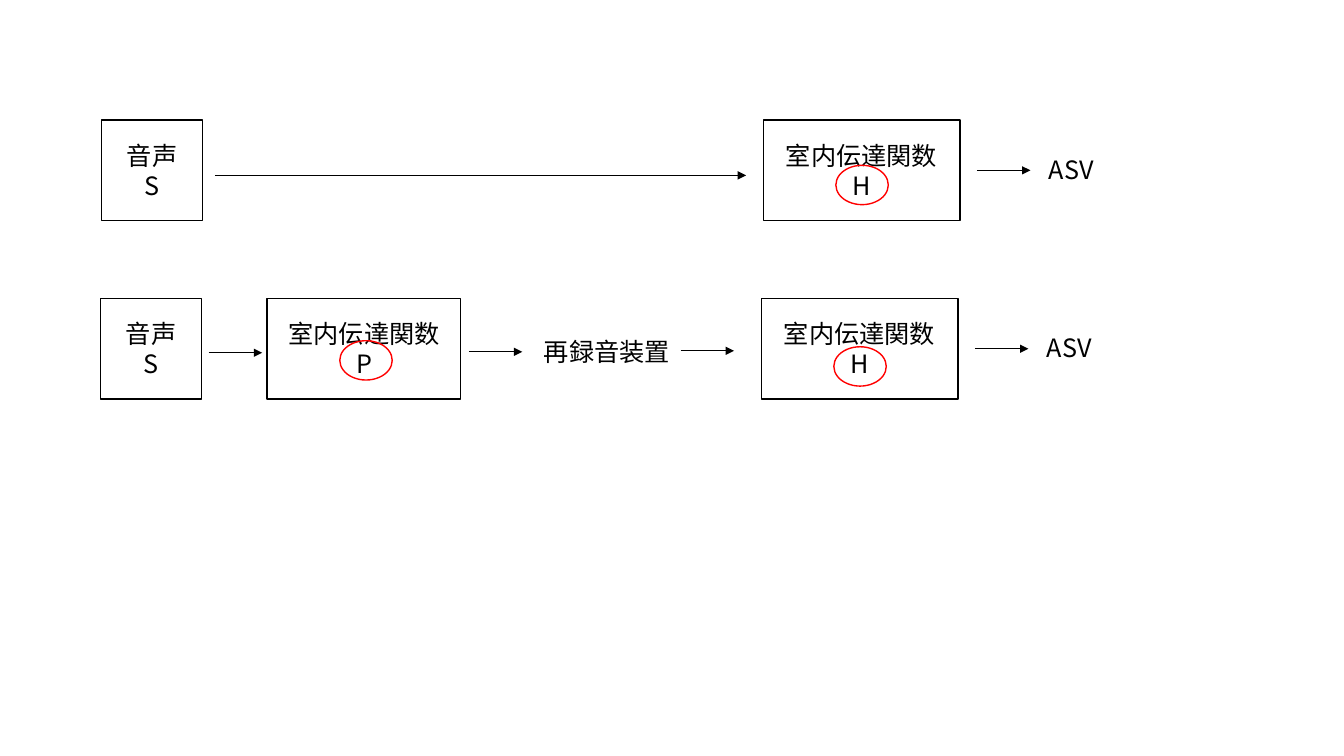
from lxml import etree
from pptx import Presentation
from pptx.dml.color import RGBColor
from pptx.enum.shapes import MSO_CONNECTOR, MSO_SHAPE
from pptx.enum.text import MSO_ANCHOR, MSO_AUTO_SIZE, PP_ALIGN
from pptx.oxml.ns import qn
from pptx.util import Inches, Pt

RECTANGLE = MSO_SHAPE.RECTANGLE
OVAL = MSO_SHAPE.OVAL
STRAIGHT = MSO_CONNECTOR.STRAIGHT
CENTER = PP_ALIGN.CENTER
MIDDLE = MSO_ANCHOR.MIDDLE
TOP = MSO_ANCHOR.TOP
FIT_SHAPE = MSO_AUTO_SIZE.SHAPE_TO_FIT_TEXT

COLORS = {"ink": "000000", "paper": "FFFFFF", "mark": "FF0000"}
FONT = "Noto Sans CJK JP"
BOX_HEIGHT = 1
SHORT_ARROW = 0.53


def color(name):
    return RGBColor.from_string(COLORS[name])


def write_text(shape, *lines, size=18, font=FONT, ink="ink", anchor=MIDDLE, wrap=True):
    frame = shape.text_frame
    frame.word_wrap = wrap
    frame.vertical_anchor = anchor
    frame.text = "\n".join(lines)
    for paragraph in frame.paragraphs:
        paragraph.alignment = CENTER
        for run in paragraph.runs:
            run.font.size = Pt(size)
            run.font.name = font
            run.font.color.rgb = color(ink)
            east_asian = etree.Element(qn("a:ea"), typeface=font)
            run.font._element.find(qn("a:latin")).addnext(east_asian)


class SignalDiagram:
    """Draws signal chains on one slide, each chain in its own group."""

    def __init__(self, slide):
        self.slide = slide
        self.shapes = slide.shapes

    def start_chain(self):
        self.shapes = self.slide.shapes.add_group_shape().shapes

    def outline(self, kind, left, top, width, height, line):
        shape = self.shapes.add_shape(
            kind, Inches(left), Inches(top), Inches(width), Inches(height))
        shape.shadow.inherit = False
        shape.line.color.rgb = color(line)
        shape.line.width = Pt(1)
        return shape

    def box(self, left, top, width, *lines):
        shape = self.outline(RECTANGLE, left, top, width, BOX_HEIGHT, "ink")
        shape.fill.solid()
        shape.fill.fore_color.rgb = color("paper")
        write_text(shape, *lines)

    def ring(self, left, top):
        self.outline(OVAL, left, top, 0.52, 0.39, "mark").fill.background()

    def label(self, left, top, width, text):
        shape = self.shapes.add_textbox(
            Inches(left), Inches(top), Inches(width), Inches(0.4))
        write_text(shape, text, anchor=TOP, wrap=False)
        shape.text_frame.auto_size = FIT_SHAPE

    def arrow(self, left, y, length=SHORT_ARROW):
        connector = self.shapes.add_connector(
            STRAIGHT, Inches(left), Inches(y), Inches(left + length), Inches(y))
        connector.line.color.rgb = color("ink")
        connector.line.width = Pt(0.5)
        etree.SubElement(connector.line._get_or_add_ln(), qn("a:tailEnd"), type="triangle")
        etree.SubElement(connector._element.spPr, qn("a:effectLst"))

    def speech(self, left, top):
        self.box(left, top, 1, "音声", "S")

    def room_to_verifier(self, left, top, ring_drop):
        """Add the room response H, its ring and the arrow to ASV."""
        self.box(left, top, 1.95, "室内伝達関数", "H")
        self.arrow(left + 2.12, top + 0.5)
        self.ring(left + 0.72, top + ring_drop)
        self.label(left + 2.71, top + 0.29, 0.69, "ASV")


def main():
    presentation = Presentation()
    presentation.slide_width = Inches(13.33)
    presentation.slide_height = Inches(7.5)
    slide = presentation.slides.add_slide(presentation.slide_layouts[6])
    diagram = SignalDiagram(slide)

    replay_top = 2.96
    diagram.start_chain()
    diagram.speech(1, replay_top)
    diagram.box(2.65, replay_top, 1.92, "室内伝達関数", "P")
    for left, y in ((2.07, 3.5), (4.65, 3.49), (6.75, 3.48)):
        diagram.arrow(left, y)
    diagram.ring(3.37, 3.38)
    diagram.label(5.29, 3.29, 1.46, "再録音装置")
    diagram.room_to_verifier(7.55, replay_top, ring_drop=0.48)

    direct_top = 1.19
    diagram.start_chain()
    diagram.speech(1.01, direct_top)
    diagram.arrow(2.13, 1.74, length=5.27)
    diagram.room_to_verifier(7.57, direct_top, ring_drop=0.45)

    presentation.save("out.pptx")


if __name__ == "__main__":
    main()
